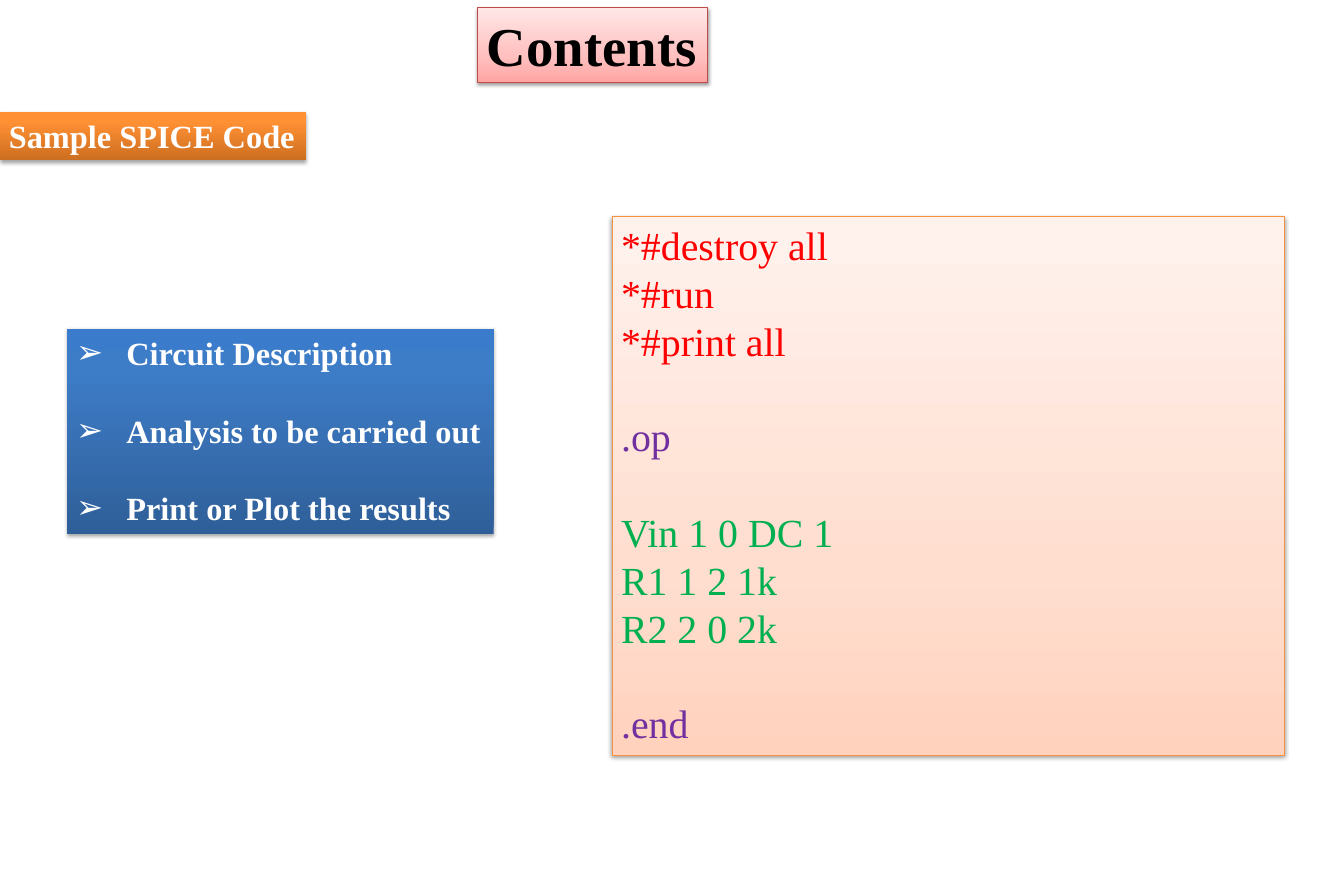
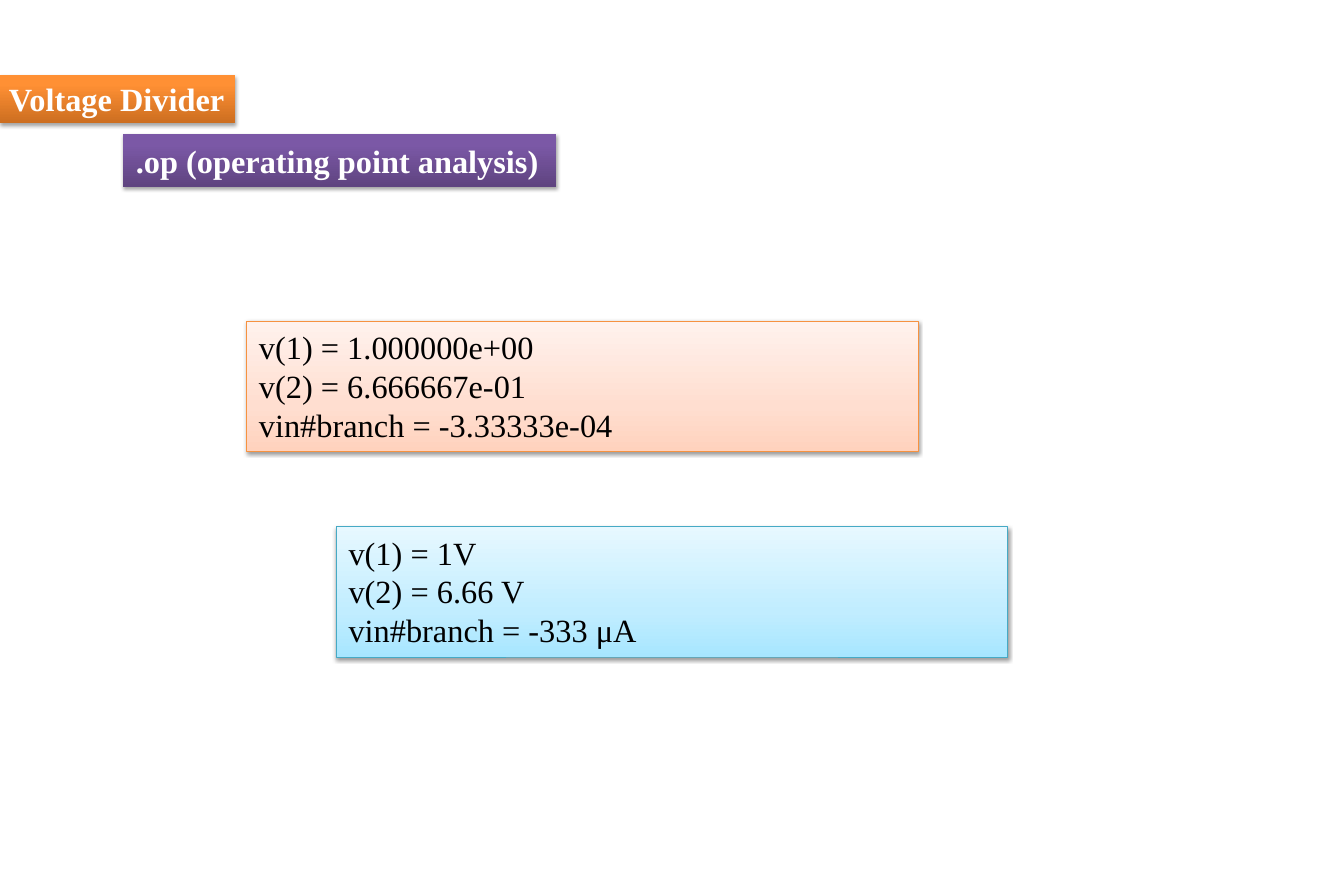
import lxml.etree
import pptx
import pptx.dml.color
import pptx.enum.text
import pptx.oxml.ns
import pptx.util

COLS, ROWS = 180, 120
WIDE, HIGH = pptx.util.Inches(15), pptx.util.Inches(10)
FONT = "Times New Roman"
LEAD = 1.2
SLIM, ROOMY = (0.1, 0.05), (0.14, 0.07)

INK = {
    "black": "000000", "white": "FFFFFF", "red": "FF0000",
    "purple": "7030A0", "green": "00B050",
    "rose edge": "BF4C48", "peach edge": "F69240", "sky edge": "46AAC5",
}
FADES = {
    "rose": {0: "FFA6A5", 35: "FFC0BF", 100: "FFE7E7"},
    "peach": {0: "FFD2BD", 35: "FFDED0", 100: "FFF2ED"},
    "sky": {0: "A7E6FF", 35: "C1EDFF", 100: "E7F8FF"},
    "orange": {0: "CC6E20", 80: "FF9034", 100: "FF9136"},
    "blue": {0: "2F5F99", 80: "3D7CC7", 100: "3A7CCB"},
    "violet": {0: "5F4480", 80: "7B58A6", 100: "7C57A8"},
}


def tint(name):
    return pptx.dml.color.RGBColor.from_string(INK[name])


def node(parent, tag, **attrs):
    child = lxml.etree.SubElement(parent, pptx.oxml.ns.qn(tag))
    for key, value in attrs.items():
        child.set(key, str(value))
    return child


def place(shape, left, top, width, height):
    shape.left, shape.width = (round(n * WIDE / COLS) for n in (left, width))
    shape.top, shape.height = (round(n * HIGH / ROWS) for n in (top, height))


def shade(shape, alpha, drop):
    shape.shadow.inherit = False
    effects = shape.element.spPr.find(pptx.oxml.ns.qn("a:effectLst"))
    cast = node(effects, "a:outerShdw", blurRad=pptx.util.Pt(3.1),
                dist=pptx.util.Pt(drop), dir=90 * 60000, rotWithShape=0)
    node(node(cast, "a:srgbClr", val=INK["black"]), "a:alpha", val=alpha * 1000)


def paint(shape, fade):
    shape.fill.gradient()
    shape.fill.gradient_angle = 90
    stops = shape.element.spPr.find(".//" + pptx.oxml.ns.qn("a:gsLst"))
    for stop in list(stops):
        stops.remove(stop)
    for spot, value in FADES[fade].items():
        node(node(stops, "a:gs", pos=spot * 1000), "a:srgbClr", val=value)
    edge = fade + " edge"
    if edge in INK:
        shape.line.color.rgb = tint(edge)
        shape.line.width = pptx.util.Pt(0.75)
        shade(shape, 38, 1.6)
    else:
        shape.line.fill.background()
        shade(shape, 35, 1.8)


def mark(para, sign, indent):
    props = para._p.get_or_add_pPr()
    shift = pptx.util.Inches(indent)
    props.set("marL", str(shift))
    props.set("indent", str(-shift))
    node(props, "a:buFont", typeface="Arial")
    node(props, "a:buChar", char=sign)


def write(shape, groups, size=26, bold=False, inset=SLIM, sign=None):
    frame = shape.text_frame
    frame.word_wrap = True
    frame.auto_size = pptx.enum.text.MSO_AUTO_SIZE.NONE
    frame.vertical_anchor = pptx.enum.text.MSO_ANCHOR.TOP
    side, edge = map(pptx.util.Inches, inset)
    frame.margin_left = frame.margin_right = side
    frame.margin_top = frame.margin_bottom = edge
    pitch = pptx.util.Pt(size * LEAD)
    para = None
    for ink, lines in groups:
        for rank, line in enumerate(lines):
            gap = pitch if para is not None and rank == 0 else 0
            para = frame.paragraphs[0] if para is None else frame.add_paragraph()
            para.alignment = pptx.enum.text.PP_ALIGN.LEFT
            para.line_spacing = pitch
            para.space_before = pptx.util.Emu(gap)
            if sign:
                mark(para, sign, 0.56)
            run = para.add_run()
            run.text = line
            run.font.name = FONT
            run.font.size = pptx.util.Pt(size)
            run.font.bold = bold
            run.font.color.rgb = tint(ink)


def panel(shape, grid, fade, groups, **style):
    place(shape, *grid)
    paint(shape, fade)
    write(shape, groups, **style)


def box(slide, *args, **style):
    panel(slide.shapes.add_textbox(0, 0, 0, 0), *args, **style)


def label(text, ink="white"):
    return [(ink, [text])]


def sample(deck):
    slide = deck.slides.add_slide(deck.slide_layouts[1])
    panel(slide.shapes.title, (64, 1, 30.8, 10), "rose",
          label("Contents", "black"), size=44, bold=True)
    box(slide, (0, 15, 41, 6.5), "orange", label("Sample SPICE Code"), bold=True)
    code = [
        ("red", ["*#destroy all", "*#run", "*#print all"]),
        ("purple", [".op"]),
        ("green", ["Vin 1 0 DC 1", "R1 1 2 1k", "R2 2 0 2k"]),
        ("purple", [".end"]),
    ]
    box(slide, (82, 29, 90, 72.2), "peach", code, size=32)
    steps = ["Circuit Description", "Analysis to be carried out",
             "Print or Plot the results"]
    panel(slide.placeholders[1], (9, 44, 57.1, 27.5), "blue",
          [("white", [step]) for step in steps], bold=True, sign="➢")


def result(deck):
    slide = deck.slides.add_slide(deck.slide_layouts[5])
    panel(slide.shapes.title, (0, 10, 31.5, 6.5), "orange",
          label("Voltage Divider"), bold=True)
    box(slide, (16.5, 18, 58, 7), "violet",
        label(".op (operating point analysis)"), bold=True, inset=ROOMY)
    raw = ["v(1) = 1.000000e+00", "v(2) = 6.666667e-01",
           "vin#branch = -3.33333e-04"]
    neat = ["v(1) = 1V", "v(2) = 6.66 V", "vin#branch = -333 μA"]
    for left, top, fade, lines in ((33, 43, "peach", raw),
                                   (45, 70.5, "sky", neat)):
        box(slide, (left, top, 90, 17.5), fade, [("black", lines)], inset=ROOMY)


def main():
    deck = pptx.Presentation()
    deck.slide_width, deck.slide_height = WIDE, HIGH
    sample(deck)
    result(deck)
    deck.save("out.pptx")


if __name__ == "__main__":
    main()
